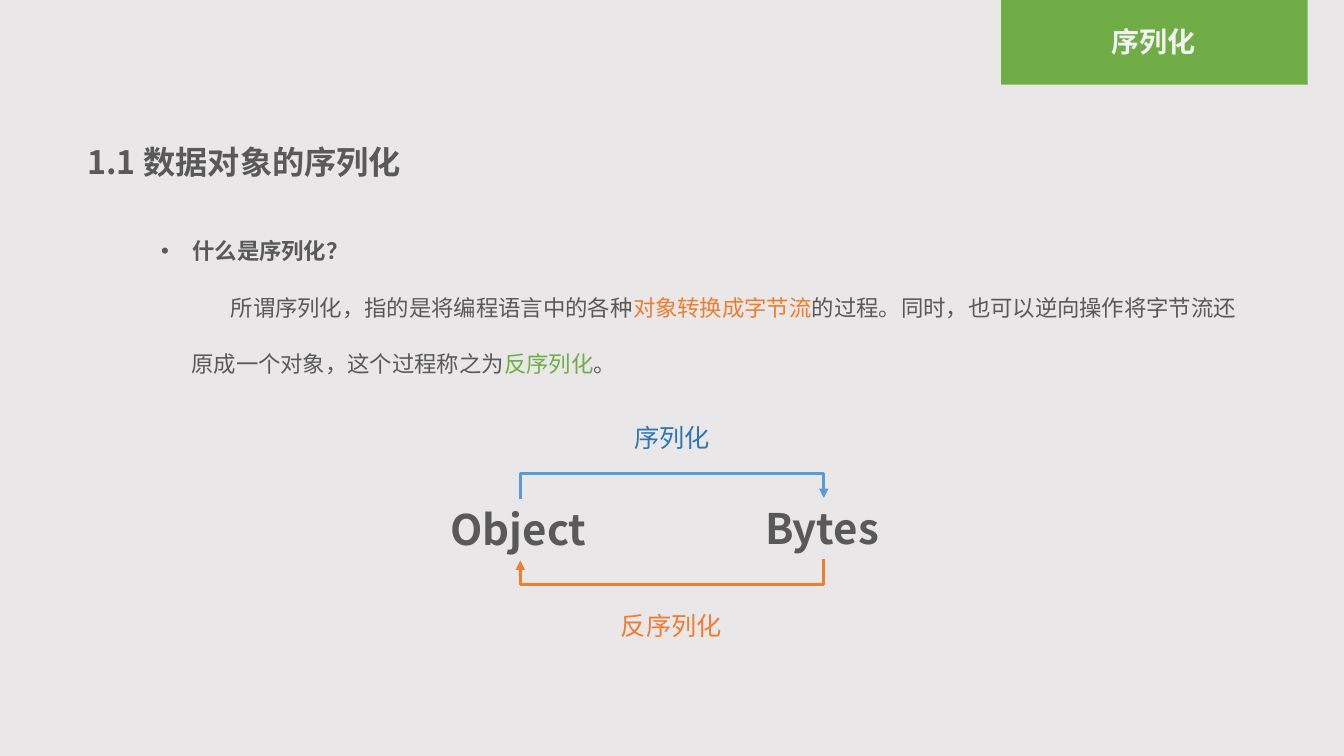
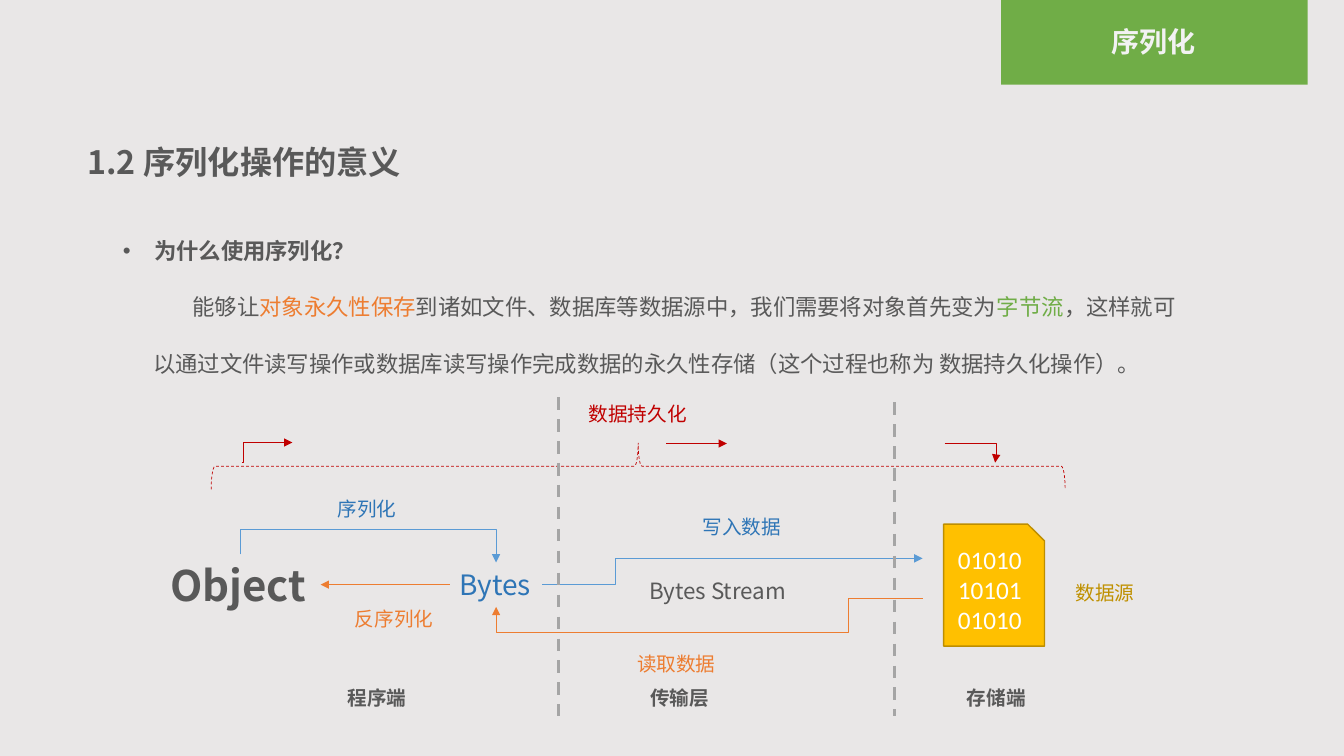
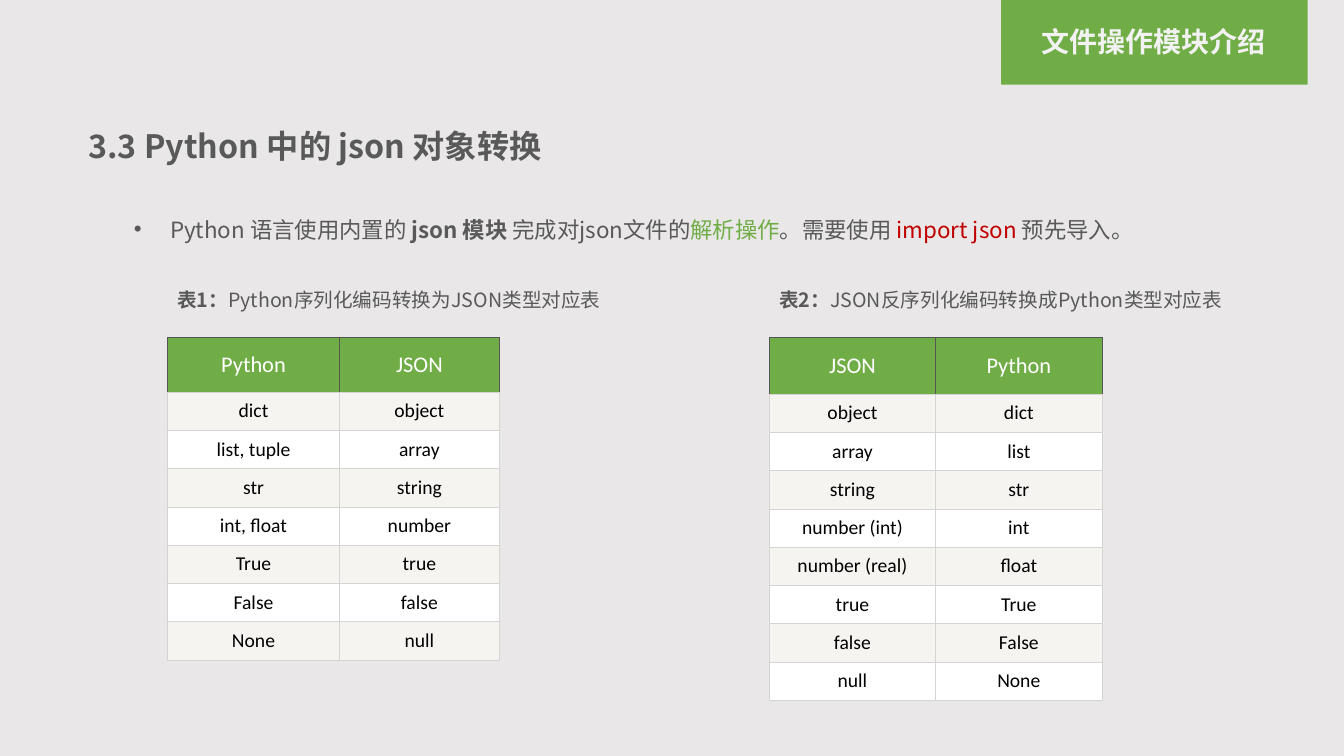
from math import cos, radians, sin

from lxml import etree
from pptx import Presentation
from pptx.dml.color import RGBColor
from pptx.enum.dml import MSO_LINE
from pptx.enum.shapes import MSO_CONNECTOR as Link, MSO_SHAPE as Preset
from pptx.enum.text import MSO_ANCHOR as Anchor, MSO_AUTO_SIZE as AutoSize, PP_ALIGN as Align
from pptx.oxml.ns import qn
from pptx.util import Inches, Pt

COLORS = {
    "page": "E9E7E7", "green": "70AD47", "tab_text": "F2F2F2", "text": "595959",
    "orange": "ED7D31", "blue": "5B9BD5", "deep_blue": "2E75B6", "red": "C00000",
    "gray": "A5A5A5", "gold": "FFC000", "gold_edge": "BD8E00", "gold_text": "BF9000",
    "white": "FFFFFF", "black": "000000", "stripe": "F6F4F0",
    "grid": "D4D4D4", "header_edge": "555555",
}
CJK = "Noto Sans CJK SC"
LATIN = "Calibri"


def rgb(name):
    return RGBColor.from_string(COLORS[name])


def write(para, text, size=16, color="text", bold=False, font=CJK):
    span = para.add_run()
    span.text = text
    span.font.size = Pt(size)
    span.font.bold = bold
    span.font.name = font
    span.font.color.rgb = rgb(color)
    etree.SubElement(span.font._element, qn("a:ea"), typeface=font)


def add_box(page, left, top, width, height, anchor=Anchor.TOP, wrap=True, grow=False):
    box = page.shapes.add_textbox(Inches(left), Inches(top), Inches(width), Inches(height))
    frame = box.text_frame
    frame.word_wrap = wrap
    frame.vertical_anchor = anchor
    frame.auto_size = AutoSize.SHAPE_TO_FIT_TEXT if grow else AutoSize.NONE
    return frame


def add_label(page, left, top, width, height, text, **style):
    frame = add_box(page, left, top, width, height, wrap=False, grow=True)
    write(frame.paragraphs[0], text, **style)


def add_shape(page, preset, left, top, width, height, fill=None):
    shape = page.shapes.add_shape(preset, Inches(left), Inches(top), Inches(width), Inches(height))
    shape.shadow.inherit = False
    if fill:
        shape.fill.solid()
        shape.fill.fore_color.rgb = rgb(fill)
    else:
        shape.fill.background()
    return shape


def set_line(line, color, weight, dashed=False):
    line.color.rgb = rgb(color)
    line.width = Pt(weight)
    if dashed:
        line.dash_style = MSO_LINE.DASH


def add_line(page, start, end, color, weight=0.5, arrow=True, dashed=False, kind=Link.STRAIGHT):
    line = page.shapes.add_connector(kind, *map(Inches, start + end))
    set_line(line.line, color, weight, dashed)
    if arrow:
        etree.SubElement(line.line._get_or_add_ln(), qn("a:tailEnd"), type="triangle")
    etree.SubElement(line._element.spPr, qn("a:effectLst"))
    return line


def add_elbow(page, start, end, bends, color, turn=0, weight=0.5):
    line = add_line(page, start, end, color, weight, kind=Link.ELBOW)
    dx, dy = end[0] - start[0], end[1] - start[1]
    cosine, sine = round(cos(radians(turn))), round(sin(radians(turn)))
    across, down = dx * cosine + dy * sine, dy * cosine - dx * sine
    line.left = Inches((start[0] + end[0] - abs(across)) / 2)
    line.top = Inches((start[1] + end[1] - abs(down)) / 2)
    line.width, line.height = Inches(abs(across)), Inches(abs(down))
    properties = line._element.spPr
    frame = properties.find(qn("a:xfrm"))
    frame.set("rot", str(turn * 60000))
    frame.set("flipH", str(int(across < 0)))
    frame.set("flipV", str(int(down < 0)))
    geometry = properties.find(qn("a:prstGeom"))
    geometry.set("prst", f"bentConnector{len(bends) + 2}")
    guides = geometry.find(qn("a:avLst"))
    if guides is None:
        guides = etree.SubElement(geometry, qn("a:avLst"))
    first_axis = turn // 90 % 2
    for number, bend in enumerate(bends):
        axis = (first_axis + number) % 2
        ratio = (bend - start[axis]) / (end[axis] - start[axis])
        name = f"adj{number + 1}"
        etree.SubElement(guides, qn("a:gd"), name=name, fmla=f"val {round(ratio * 100000)}")


def set_indent(para, margin, indent, spacing, bullet=False):
    para.line_spacing = spacing
    properties = para._p.get_or_add_pPr()
    properties.set("marL", str(Inches(margin)))
    properties.set("indent", str(Inches(indent)))
    if bullet:
        etree.SubElement(properties, qn("a:buFont"), typeface="Arial")
        etree.SubElement(properties, qn("a:buChar"), char="•")


def write_spans(para, spans):
    for text, style in spans:
        write(para, text, **style)


def add_answer(page, place, question, spans, **layout):
    frame = add_box(page, *place, **layout)
    heading = frame.paragraphs[0]
    set_indent(heading, 0.31, -0.31, 2.1, bullet=True)
    write(heading, question, bold=True)
    answer = frame.add_paragraph()
    set_indent(answer, 0.3, 0.39, 2.1)
    write_spans(answer, spans)


def set_borders(cell, colors):
    properties = cell._tc.get_or_add_tcPr()
    for position, (side, color) in enumerate(zip("LRTB", colors)):
        edge = etree.Element(qn(f"a:ln{side}"), w=str(Pt(0.75)))
        fill = etree.SubElement(edge, qn("a:solidFill"))
        etree.SubElement(fill, qn("a:srgbClr"), val=COLORS[color])
        properties.insert(position, edge)


def fill_cell(cell, text, fill, borders, insets, anchor, **style):
    cell.fill.solid()
    cell.fill.fore_color.rgb = rgb(fill)
    cell.margin_left = cell.margin_right = Inches(insets[0])
    cell.margin_top = cell.margin_bottom = Inches(insets[1])
    cell.vertical_anchor = anchor
    set_borders(cell, borders)
    para = cell.text_frame.paragraphs[0]
    para.alignment = Align.CENTER
    write(para, text, font=LATIN, **style)


def add_type_table(page, left, widths, header_height, rows):
    row_height = 0.38
    height = header_height + row_height * (len(rows) - 1)
    table = page.shapes.add_table(len(rows), len(widths), Inches(left), Inches(3.35),
                                  Inches(sum(widths)), Inches(height)).table
    for column, width in zip(table.columns, widths):
        column.width = Inches(width)
    for r, texts in enumerate(rows):
        table.rows[r].height = Inches(row_height if r else header_height)
        for c, text in enumerate(texts):
            cell = table.cell(r, c)
            if r:
                fill_cell(cell, text, "stripe" if r % 2 else "white", ["grid"] * 4,
                          (0.05, 0.07), Anchor.TOP, size=14, color="black")
            else:
                fill_cell(cell, text, "green", ["header_edge"] * 3 + ["grid"],
                          (0.03, 0.03), Anchor.MIDDLE, size=16, color="white")


def add_page(deck, chapter, title, left=0.77, top=1.16):
    page = deck.slides.add_slide(deck.slide_layouts[6])
    tab = add_shape(page, Preset.RECTANGLE, 9.93, 0, 3.04, 0.84, "green")
    tab.line.fill.background()
    para = add_box(page, 9.94, 0.23, 3, 0.42).paragraphs[0]
    para.alignment = Align.CENTER
    para.line_spacing = 0.9
    para.space_before = Pt(10)
    write(para, chapter, size=20, color="tab_text", bold=True)
    frame = add_box(page, left, top, 5.9, 0.89, anchor=Anchor.MIDDLE)
    write(frame.paragraphs[0], title, size=23, bold=True)
    return page


def build_definition(deck):
    page = add_page(deck, "序列化", "1.1 数据对象的序列化")
    add_answer(page, (1.5, 2.05, 10.96, 1.7), "什么是序列化？", [
        ("所谓序列化，指的是将编程语言中的各种", {}),
        ("对象转换成字节流", {"color": "orange"}),
        ("的过程。同时，也可以逆向操作将字节流还原成一个对象，这个过程称之为", {}),
        ("反序列化", {"color": "green"}),
        ("。", {}),
    ], anchor=Anchor.MIDDLE)
    add_label(page, 4.37, 4.95, 1.59, 0.61, "Object", size=30, bold=True)
    add_label(page, 7.49, 4.94, 1.36, 0.61, "Bytes", size=30, bold=True)
    add_elbow(page, (5.16, 4.95), (8.17, 4.94), [4.69], "blue", turn=90, weight=2.25)
    add_elbow(page, (8.17, 5.55), (5.16, 5.56), [5.8], "orange", turn=90, weight=2.25)
    add_label(page, 6.19, 4.14, 0.96, 0.4, "序列化", size=18, color="deep_blue")
    add_label(page, 6.06, 6.01, 1.21, 0.4, "反序列化", size=18, color="orange")


def build_purpose(deck):
    page = add_page(deck, "序列化", "1.2 序列化操作的意义")
    add_answer(page, (1.12, 2.01, 10.64, 1.8), "为什么使用序列化？", [
        ("能够让", {}),
        ("对象永久性保存", {"color": "orange"}),
        ("到诸如文件、数据库等数据源中，我们需要将对象首先变为", {}),
        ("字节流", {"color": "green"}),
        ("，这样就可以通过文件读写操作或数据库读写操作完成数据的永久性存储"
         "（这个过程也称为 数据持久化操作）。", {}),
    ], grow=True)
    add_label(page, 1.59, 5.5, 1.59, 0.61, "Object", size=30, bold=True)
    store = add_shape(page, Preset.SNIP_1_RECTANGLE, 9.36, 5.2, 1, 1.21, "gold")
    set_line(store.line, "gold_edge", 1)
    store.text_frame.word_wrap = True
    store.text_frame.vertical_anchor = Anchor.MIDDLE
    bits = store.text_frame.paragraphs[0]
    bits.alignment = Align.CENTER
    write(bits, "010101010101010", size=18, color="white", font=LATIN)
    add_label(page, 4.46, 5.58, 0.92, 0.44, "Bytes", size=20, color="deep_blue")
    add_label(page, 6.34, 5.68, 1.59, 0.37, "Bytes Stream")

    add_elbow(page, (2.38, 5.5), (4.92, 5.58), [5.25], "blue", turn=270)
    add_elbow(page, (5.38, 5.8), (9.15, 5.54), [6.1], "blue")
    add_elbow(page, (9.15, 5.94), (4.92, 6.02), [8.41, 6.27], "orange", turn=180)
    add_line(page, (4.46, 5.8), (3.18, 5.8), "orange")

    for left, top, width, text, color in [
        (3.25, 4.88, 0.79, "序列化", "deep_blue"),
        (3.42, 5.97, 0.99, "反序列化", "orange"),
        (6.87, 5.06, 0.99, "写入数据", "deep_blue"),
        (6.22, 6.42, 0.99, "读取数据", "orange"),
        (10.57, 5.71, 0.79, "数据源", "gold_text"),
        (5.74, 3.94, 1.18, "数据持久化", "red"),
    ]:
        add_label(page, left, top, width, 0.34, text, size=14, color=color)

    brace = add_shape(page, Preset.RIGHT_BRACE, 6.1, 0.39, 0.46, 8.47)
    brace.rotation = 270
    set_line(brace.line, "red", 0.5, dashed=True)
    add_elbow(page, (2.4, 4.59), (2.9, 4.39), [2.41], "red")
    add_line(page, (6.61, 4.4), (7.21, 4.4), "red")
    add_elbow(page, (9.37, 4.4), (9.87, 4.59), [9.88], "red")

    for x, top in [(5.54, 3.94), (8.87, 3.99)]:
        add_line(page, (x, top), (x, 7.1), "gray", 2.25, arrow=False, dashed=True)
    for left, text in [(3.35, "程序端"), (6.35, "传输层"), (9.49, "存储端")]:
        add_label(page, left, 6.76, 0.79, 0.34, text, size=14, bold=True)


def build_conversion(deck):
    page = add_page(deck, "文件操作模块介绍", "3.3 Python 中的 json 对象转换", left=0.78, top=1)
    para = add_box(page, 1.23, 1.96, 10.91, 0.5, grow=True).paragraphs[0]
    set_indent(para, 0.31, -0.31, 1.5, bullet=True)
    write_spans(para, [
        (" Python 语言使用内置的 ", {}),
        ("json 模块 ", {"bold": True}),
        ("完成对json文件的", {}),
        ("解析操作", {"color": "green"}),
        ("。需要使用 ", {}),
        ("import json ", {"color": "red"}),
        ("预先导入。", {}),
    ])
    add_type_table(page, 1.66, (1.71, 1.58), 0.54, [
        ("Python", "JSON"), ("dict", "object"), ("list, tuple", "array"),
        ("str", "string"), ("int, float", "number"), ("True", "true"),
        ("False", "false"), ("None", "null"),
    ])
    add_type_table(page, 7.63, (1.65, 1.65), 0.56, [
        ("JSON", "Python"), ("object", "dict"), ("array", "list"),
        ("string", "str"), ("number (int)", "int"), ("number (real)", "float"),
        ("true", "True"), ("false", "False"), ("null", "None"),
    ])
    for left, width, number, caption in [
        (1.66, 4.44, "表1：", "Python序列化编码转换为JSON类型对应表"),
        (7.63, 4.64, "表2：", "JSON反序列化编码转换成Python类型对应表"),
    ]:
        para = add_box(page, left, 2.81, width, 0.34).paragraphs[0]
        write(para, number, size=14, bold=True)
        write(para, caption, size=14)


def main():
    deck = Presentation()
    deck.slide_width, deck.slide_height = Inches(13.33), Inches(7.5)
    backdrop = deck.slide_master.background.fill
    backdrop.solid()
    backdrop.fore_color.rgb = rgb("page")
    build_definition(deck)
    build_purpose(deck)
    build_conversion(deck)
    deck.save("out.pptx")


main()
